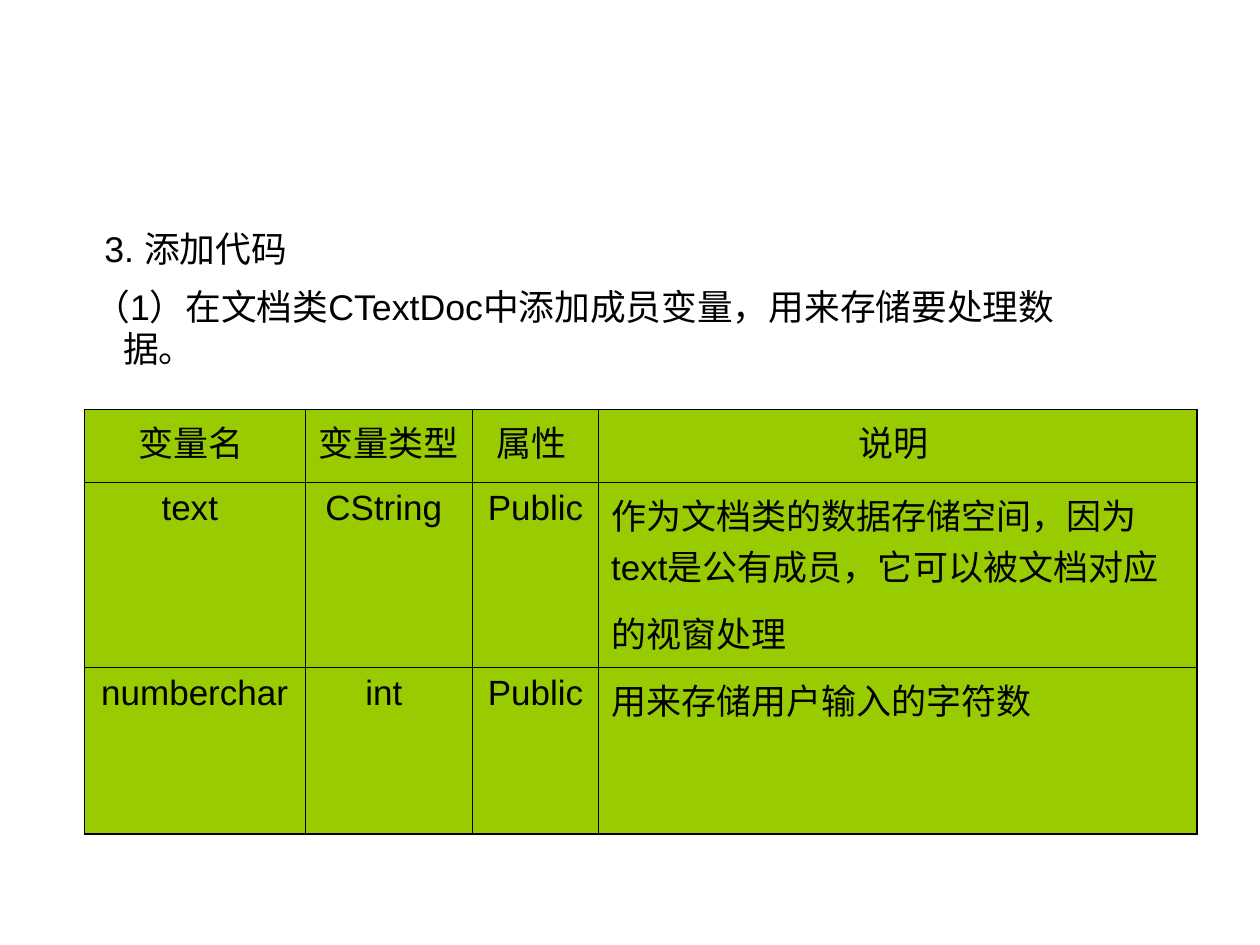
from lxml import etree
from pptx import Presentation, util as u
from pptx.dml.color import RGBColor
from pptx.enum import text
from pptx.oxml.ns import qn

COLORS = {"ink": "000000", "cell": "99CC00"}
FONT = "Arial"
SIZES = {"body": 20.4, "table": 20, "tail": 28}
BORDERS = {"outer": 1.08, "inner": 0.45}

# wording, first-line indent in inches, space before in points
STEPS = [
    ("3. 添加代码", -0.15, 0),
    ("（1）在文档类CTextDoc中添加成员变量，用来存储要处理数据。", -0.23, 8.5),
]
VARIABLES = [
    ["变量名 ", "变量类型 ", "属性 ", "说明 "],
    ["text ", "CString ", "Public ", "作为文档类的数据存储空间，因为text是公有成员，它可以被文档对应的视窗处理"],
    ["numberchar ", "int ", "Public ", "用来存储用户输入的字符数"],
]
COLUMNS = [1.75, 1.33, 1, 4.75]
ROWS = [0.58, 1.47, 1.32]
STEPS_BOX = (0.5, 1.75, 8.08, 1.33)
TABLE_CORNER = (0.67, 3.25)


def add_run(paragraph, words, size):
    run = paragraph.add_run()
    run.text = words
    for name, value in {"name": FONT, "size": u.Pt(size)}.items():
        setattr(run.font, name, value)
    run.font.color.rgb = RGBColor.from_string(COLORS["ink"])


def set_borders(cell, widths):
    """Draw the left, right, top and bottom lines, in that order."""
    properties = cell._tc.get_or_add_tcPr()
    for place, (side, width) in enumerate(zip("LRTB", widths)):
        line = etree.Element(qn(f"a:ln{side}"), w=str(int(u.Pt(width))))
        fill = etree.SubElement(line, qn("a:solidFill"))
        etree.SubElement(fill, qn("a:srgbClr"), val=COLORS["ink"])
        properties.insert(place, line)


def add_steps(slide):
    frame = slide.shapes.add_textbox(*map(u.Inches, STEPS_BOX)).text_frame
    frame.word_wrap = True
    for number, (words, indent, before) in enumerate(STEPS):
        step = frame.add_paragraph() if number else frame.paragraphs[0]
        step.space_before = u.Pt(before)
        properties = step._p.get_or_add_pPr()
        for name, inches in {"marL": 0.38, "indent": indent}.items():
            properties.set(name, str(int(u.Inches(inches))))
        add_run(step, words, SIZES["body"])


def add_variables(slide):
    extent = (sum(COLUMNS), sum(ROWS))
    table = slide.shapes.add_table(
        len(ROWS), len(COLUMNS), *map(u.Inches, TABLE_CORNER + extent)).table
    for column, width in zip(table.columns, COLUMNS):
        column.width = u.Inches(width)
    for row, height in zip(table.rows, ROWS):
        row.height = u.Inches(height)

    last_row, last_column = len(ROWS) - 1, len(COLUMNS) - 1
    for r, entries in enumerate(VARIABLES):
        for c, words in enumerate(entries):
            cell = table.cell(r, c)
            cell.fill.solid()
            cell.fill.fore_color.rgb = RGBColor.from_string(COLORS["cell"])
            on_edge = (c == 0, c == last_column, r == 0, r == last_row)
            set_borders(cell, [BORDERS["outer" if edge else "inner"] for edge in on_edge])

            entry = cell.text_frame.paragraphs[0]
            explains = r > 0 and c == last_column
            entry.alignment = text.PP_ALIGN.LEFT if explains else text.PP_ALIGN.CENTER
            entry.space_before = u.Pt(5)
            add_run(entry, words, SIZES["table"])
            if explains and r < last_row:
                add_run(entry, " ", SIZES["tail"])  # opens up the last line


def main():
    deck = Presentation()
    deck.slide_width, deck.slide_height = u.Inches(10), u.Inches(7.5)
    slide = deck.slides.add_slide(deck.slide_layouts[6])
    add_steps(slide)
    add_variables(slide)
    deck.save("out.pptx")


if __name__ == "__main__":
    main()
